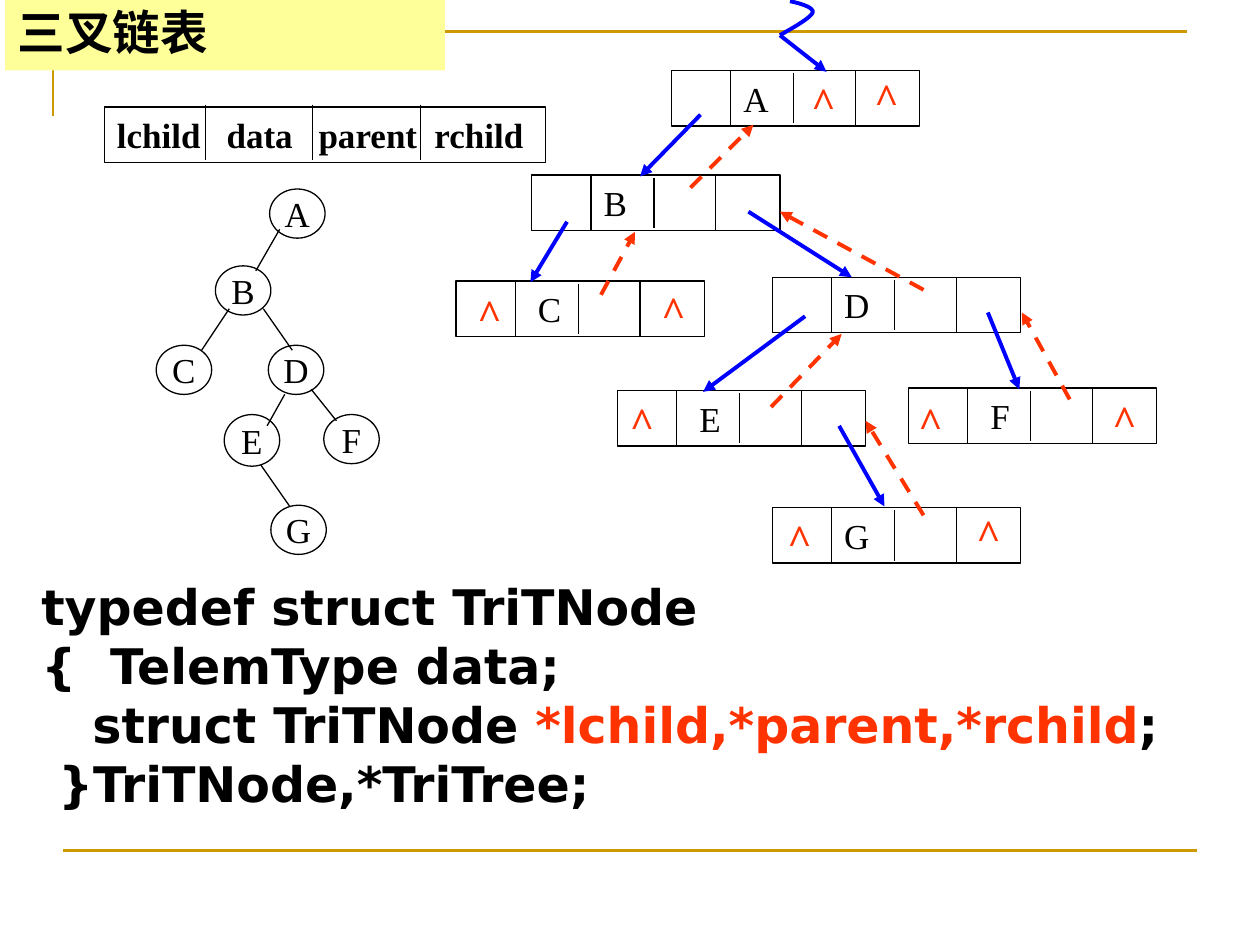
"""Build the slide that explains the triple-linked list of a binary tree."""
import dataclasses
import typing

import lxml.etree
import pptx
import pptx.dml.color
import pptx.enum.dml
import pptx.enum.shapes
import pptx.enum.text
import pptx.oxml.ns
import pptx.util

Inches = pptx.util.Inches
Point = typing.Tuple[float, float]
SHAPE = pptx.enum.shapes.MSO_SHAPE
ALIGN = pptx.enum.text.PP_ALIGN
MIDDLE = pptx.enum.text.MSO_ANCHOR.MIDDLE
BLACK, BLUE, RED, GOLD, YELLOW = "000000", "0000FF", "FF3300", "CC9900", "FFFF99"
SERIF, SANS, CJK = "Times New Roman", "DejaVu Sans", "Noto Sans CJK SC"
NODE_W, NODE_H = 1.97, 0.44


@dataclasses.dataclass
class TreeNode:
    label: str
    x: float
    y: float
    h: float = 0.39


@dataclasses.dataclass
class LinkedNode:
    label: str
    x: float
    y: float
    inset: float = 0.57


@dataclasses.dataclass
class Link:
    start: Point
    end: Point


TREE = [TreeNode("A", 2.14, 1.5), TreeNode("B", 1.71, 2.11), TreeNode("C", 1.24, 2.74),
        TreeNode("D", 2.13, 2.74), TreeNode("E", 1.78, 3.29, 0.41),
        TreeNode("F", 2.57, 3.29), TreeNode("G", 2.15, 4.01)]
EDGES = [Link((2.22, 1.82), (2.03, 2.15)), Link((1.82, 2.45), (1.6, 2.78)),
         Link((2.09, 2.45), (2.32, 2.78)), Link((2.26, 3.13), (2.12, 3.38)),
         Link((2.47, 3.09), (2.67, 3.34)), Link((2.07, 3.69), (2.3, 4.02))]
LINKED = [LinkedNode("A", 5.33, 0.56), LinkedNode("B", 4.22, 1.39),
          LinkedNode("C", 3.62, 2.23, 0.65), LinkedNode("D", 6.13, 2.2),
          LinkedNode("E", 4.9, 3.1, 0.65), LinkedNode("F", 7.21, 3.08, 0.65),
          LinkedNode("G", 6.13, 4.03)]
CHILD_LINKS = [Link((5.56, 0.91), (5.08, 1.4)), Link((4.5, 1.76), (4.21, 2.24)),
               Link((6.39, 2.51), (5.58, 3.11)), Link((5.94, 1.68), (6.76, 2.2)),
               Link((7.84, 2.48), (8.09, 3.09)), Link((6.66, 3.38), (7.02, 4.02)),
               Link((6.19, 0.28), (6.56, 0.57))]
PARENT_LINKS = [Link((5.48, 1.49), (5.98, 0.99)), Link((4.77, 2.34), (5.04, 1.84)),
                Link((7.33, 2.3), (6.19, 1.68)), Link((6.12, 3.23), (6.68, 2.65)),
                Link((7.33, 4.09), (6.87, 3.34)), Link((8.49, 3.17), (8.11, 2.48))]
NULLS = [(6.34, 0.55), (6.84, 0.52), (3.69, 2.23), (5.15, 2.21), (4.9, 3.09),
         (7.19, 3.09), (8.73, 3.07), (6.15, 4.02), (7.65, 3.98)]
ROOT_CURVE = [[(6.27, 0.01), (6.36, 0.03), (6.46, 0.06), (6.45, 0.1)],
              [(6.45, 0.1), (6.43, 0.15), (6.24, 0.25), (6.19, 0.28)]]
CODE = [[("typedef struct TriTNode", BLACK)],
        [("{  TelemType data;", BLACK)],
        [("   struct TriTNode ", BLACK), ("*lchild,*parent,*rchild", RED), (";", BLACK)],
        [(" }TriTNode,*TriTree;", BLACK)]]


def rgb(color: str) -> pptx.dml.color.RGBColor:
    """Turn a hex string into a colour."""
    return pptx.dml.color.RGBColor.from_string(color)


def apply(obj: typing.Any, **fmt: typing.Any) -> None:
    """Set each format value on the object."""
    for name, value in fmt.items():
        setattr(obj, name, value)


def sub(parent: typing.Any, tag: str, **attrs: str) -> typing.Any:
    """Append a child element with attributes."""
    return lxml.etree.SubElement(parent, pptx.oxml.ns.qn(tag), attrs)


def stroke(line: typing.Any, color: str, width: float) -> None:
    """Give a line its colour and width."""
    line.color.rgb = rgb(color)
    line.width = pptx.util.Pt(width)


def add_run(p: typing.Any, text: str, size: float, font: str = SERIF,
            color: str = BLACK, bold: bool = False) -> typing.Any:
    """Add a formatted run."""
    r = p.add_run()
    r.text = text
    apply(r.font, size=pptx.util.Pt(size), name=font, bold=bold)
    r.font.color.rgb = rgb(color)
    return r


def add_line(s: typing.Any, link: Link, color: str = BLACK, width: float = 0.75,
             arrow: bool = False, dashed: bool = False) -> None:
    """Draw a straight line or arrow."""
    ends = [Inches(v) for v in link.start + link.end]
    c = s.shapes.add_connector(pptx.enum.shapes.MSO_CONNECTOR.STRAIGHT, *ends)
    stroke(c.line, color, width)
    if dashed:
        c.line.dash_style = pptx.enum.dml.MSO_LINE.DASH
    if arrow:
        sub(c.line._get_or_add_ln(), "a:tailEnd", type="triangle")
    sub(c._element.spPr, "a:effectLst")


def add_curve(s: typing.Any, points: typing.List[Point], color: str, width: float) -> typing.Any:
    """Draw an open outline through the points."""
    spots = [(Inches(x), Inches(y)) for x, y in points]
    fb = s.shapes.build_freeform(*spots[0])
    fb.add_line_segments(spots[1:], close=False)
    sp = fb.convert_to_shape()
    sp.shadow.inherit = False
    sp.fill.background()
    stroke(sp.line, color, width)
    return sp


def bezier(a: Point, b: Point, c: Point, d: Point, steps: int = 12) -> typing.List[Point]:
    """Sample a cubic curve."""
    ts = [i / steps for i in range(steps + 1)]
    return [tuple((1 - t) ** 3 * a[k] + 3 * t * (1 - t) ** 2 * b[k]
                  + 3 * t * t * (1 - t) * c[k] + t ** 3 * d[k] for k in (0, 1)) for t in ts]


def add_box(s: typing.Any, kind: typing.Any, x: float, y: float, w: float, h: float,
            inset: float = 0, align: typing.Any = ALIGN.LEFT) -> typing.Any:
    """Draw an outlined shape and return its paragraph."""
    sp = s.shapes.add_shape(kind, Inches(x), Inches(y), Inches(w), Inches(h))
    sp.shadow.inherit = False
    sp.fill.background()
    stroke(sp.line, BLACK, 0.75)
    apply(sp.text_frame, margin_left=Inches(inset), margin_right=0, margin_top=0,
          margin_bottom=0, vertical_anchor=MIDDLE, word_wrap=inset > 0)
    p = sp.text_frame.paragraphs[0]
    p.alignment = align
    return p


def add_linked_node(s: typing.Any, node: LinkedNode) -> None:
    """Draw a node with four cells."""
    p = add_box(s, SHAPE.RECTANGLE, node.x, node.y, NODE_W, NODE_H, node.inset)
    add_run(p, node.label, 20)
    for dx, gap in ((0.47, 0), (0.97, 0.02), (1.46, 0)):
        x = node.x + dx
        add_line(s, Link((x, node.y + gap), (x, node.y + NODE_H - gap)))


def add_title(s: typing.Any, frame: typing.Any) -> None:
    """Place the title in front of the frame line."""
    sp = s.shapes.title
    apply(sp, left=Inches(0.04), top=0, width=Inches(3.49), height=Inches(0.56))
    sp.fill.solid()
    sp.fill.fore_color.rgb = rgb(YELLOW)
    apply(sp.text_frame, vertical_anchor=MIDDLE, word_wrap=True,
          auto_size=pptx.enum.text.MSO_AUTO_SIZE.NONE)
    p = sp.text_frame.paragraphs[0]
    apply(p, alignment=ALIGN.LEFT, line_spacing=0.9)
    r = add_run(p, "三叉链表", 27.2, CJK, bold=True)
    sub(r.font._element, "a:ea", typeface=CJK)
    frame._element.addnext(sp._element)


def add_header(s: typing.Any) -> None:
    """Draw the field names of a node."""
    p = add_box(s, SHAPE.RECTANGLE, 0.83, 0.85, 3.5, 0.44, 0.1)
    tabs = sub(p._p.get_or_add_pPr(), "a:tabLst")
    for stop in (0.87, 1.6, 2.52):
        sub(tabs, "a:tab", pos=str(Inches(stop)), algn="l")
    add_run(p, "lchild\tdata\tparent\trchild", 20, bold=True)
    for x in (1.63, 2.48, 3.34):
        add_line(s, Link((x, 0.83), (x, 1.27)))


def add_code(s: typing.Any) -> None:
    """Write the type definition."""
    tf = s.shapes.add_textbox(Inches(0.23), Inches(4.53), Inches(9.33), Inches(1.97)).text_frame
    tf.word_wrap = True
    p = tf.paragraphs[0]
    for i, row in enumerate(CODE):
        if i:
            p.add_line_break()
        for text, color in row:
            add_run(p, text, 28, SANS, color, True)


def main() -> None:
    """Build and save the slide."""
    prs = pptx.Presentation()
    apply(prs, slide_width=Inches(10), slide_height=Inches(7.5))
    s = prs.slides.add_slide(prs.slide_layouts[5])
    frame = add_curve(s, [(0.42, 0.92), (0.42, 0.25), (9.42, 0.25)], GOLD, 1.5)
    add_title(s, frame)
    add_line(s, Link((0.5, 6.75), (9.5, 6.75)), GOLD, 1.5)
    for node in TREE:
        p = add_box(s, SHAPE.OVAL, node.x, node.y, 0.44, node.h, align=ALIGN.CENTER)
        add_run(p, node.label, 20)
    for edge in EDGES:
        add_line(s, edge)
    for node in LINKED:
        add_linked_node(s, node)
    for link in CHILD_LINKS:
        add_line(s, link, BLUE, 2.25, arrow=True)
    for link in PARENT_LINKS:
        add_line(s, link, RED, 2.25, arrow=True, dashed=True)
    add_curve(s, [pt for part in ROOT_CURVE for pt in bezier(*part)], BLUE, 2.25)
    for x, y in NULLS:
        tf = s.shapes.add_textbox(Inches(x), Inches(y), Inches(0.39), Inches(0.5)).text_frame
        apply(tf, margin_left=0, margin_right=0, word_wrap=True, vertical_anchor=MIDDLE)
        tf.paragraphs[0].alignment = ALIGN.CENTER
        add_run(tf.paragraphs[0], "^", 24, color=RED, bold=True)
    add_header(s)
    add_code(s)
    prs.save("out.pptx")


if __name__ == "__main__":
    main()
